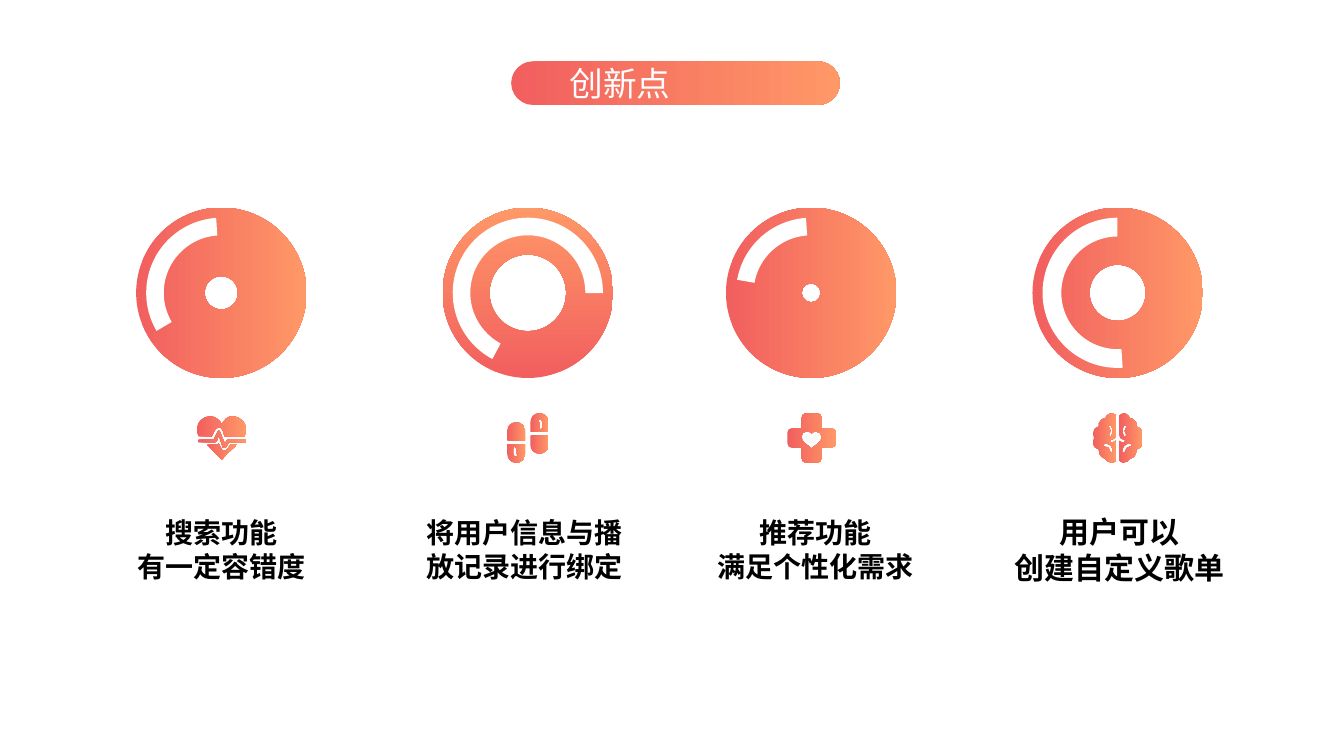
"""Build a slide of four discs, each with an icon and a caption, under a title pill."""
from lxml.etree import SubElement
from pptx import Presentation
from pptx.dml.color import RGBColor
from pptx.enum.shapes import MSO_SHAPE as Shape
from pptx.enum.text import MSO_ANCHOR as Anchor, PP_ALIGN as Align
from pptx.oxml.ns import qn
from pptx.util import Pt

PX = 9144
SLIDE_SIZE = (1333, 750)
FONT = "Noto Sans CJK SC"
RED, ORANGE, WHITE, PALE, BLACK = "F15F5F", "FF9867", "FFFFFF", "F8F8F8", "000000"
GRADIENT = (RED, ORANGE)

TITLE = "创新点"
TITLE_BAR = (507, 61, 326, 43)
TITLE_BOX = (550, 64, 255, 36)

DISC_TOP, DISC_SIZE = 206, 169
ARC_INSET, ARC_SIZE = 10, 149
ICON_INSET, ICON_TOP, ICON_SIZE = 60, 410, 49
CAPTION_TOP, CAPTION_HEIGHT, CAPTION_MARGIN = 528, 34, 13
DEGREE = 0.6

PULSE = """M 22 17 C 22 17 21 17 21 18 L 17 26 L 2 26 C 1 26 1 26 1 27 C 1 28 1 29 2 29 L 18 29
C 19 29 19 28 20 28 L 22 22 L 26 34 C 27 34 27 34 27 34 L 28 34 C 28 34 29 34 29 34 L 32 29
L 48 29 C 49 29 49 28 49 27 C 49 27 49 26 48 26 L 31 26 C 31 26 30 26 30 27 L 28 30 L 23 18
C 23 18 23 17 22 17"""
HEART_TOP = """M 13 3 C 6 3 0 9 0 17 C 0 19 1 21 2 23 L 15 23 L 18 17 C 19 15 20 15 22 14
C 24 14 25 15 26 17 L 28 24 C 29 23 30 23 31 23 L 47 23 C 48 21 49 19 49 17 C 49 9 43 3 36 3
C 30 3 27 7 25 11 C 23 7 19 3 13 3"""
HEART_TIP = """M 22 30 C 21 31 20 31 18 31 L 10 31 C 10 32 11 33 12 33 C 16 37 20 41 24 45
C 24 46 24 46 25 46 C 25 46 26 46 26 45 C 30 40 34 37 38 33 C 39 33 40 32 40 31 L 34 31
L 31 35 C 31 36 29 37 28 37 L 27 37 C 26 37 24 36 24 34 L 22 30"""
PILL_PLAIN = "M 13 9 C 8 9 4 13 4 17 L 4 27 L 22 27 L 22 17 C 22 13 18 9 13 9"
PILL_SHINY = """M 12 33 C 12 33 13 34 13 35 L 13 40 C 14 40 14 41 14 42 C 14 43 14 43 13 43
C 11 43 10 42 10 40 L 10 35 C 10 34 11 33 12 33
M 4 30 L 4 40 C 4 45 8 49 13 49 C 18 49 22 45 22 40 L 22 30"""
SMALL_HEART = """M 20 20 C 19 20 17 22 17 23 C 17 26 22 29 25 31 C 28 29 32 26 32 23
C 32 22 31 20 29 20 C 27 20 26 23 26 23 C 26 23 25 24 25 24 C 24 24 24 24 23 23
C 23 23 23 20 20 20"""
CROSS = """M 29 18 C 32 18 35 20 35 23 C 35 28 31 30 26 34 C 25 35 25 35 25 35
C 24 35 24 35 24 34 C 19 30 15 28 15 23 C 15 20 17 18 20 18 C 23 18 24 19 25 20
C 26 19 27 18 29 18
M 19 0 C 17 0 15 2 15 5 L 15 15 L 5 15 C 2 15 1 17 1 19 L 1 30 C 1 33 3 34 5 34 L 15 34
L 15 44 C 15 47 17 49 19 49 L 31 49 C 33 49 35 47 35 44 L 35 34 L 45 34 C 47 34 49 32 49 30
L 49 19 C 49 17 47 15 45 15 L 35 15 L 35 5 C 35 2 33 0 31 0"""
BRAIN_HALF = """M 32 12 C 33 12 33 12 33 12 C 34 13 34 14 33 14 C 31 16 31 19 33 21
C 34 21 34 22 33 22 C 33 23 33 23 32 23 C 32 23 32 23 31 23 C 29 20 29 15 31 12
C 31 12 32 12 32 12
M 36 30 C 37 30 37 30 37 30 C 38 31 39 31 39 32 C 38 33 38 33 37 33 C 37 33 37 33 37 33
C 34 33 32 35 32 38 C 32 38 31 39 31 39 C 30 39 29 38 29 38 C 29 34 32 30 36 30
M 31 0 C 29 0 28 1 26 2 L 26 22 C 26 24 28 26 30 26 C 31 26 32 27 32 27 C 32 28 31 29 30 29
C 29 29 27 28 26 27 L 26 47 C 27 48 29 49 30 49 C 33 49 36 47 37 45 C 41 44 43 41 43 37
C 43 37 43 36 43 36 C 45 35 46 35 47 34 C 49 32 49 31 49 29 C 49 27 49 26 48 25
C 49 23 49 22 49 20 C 49 18 48 17 47 15 C 46 14 45 14 43 13 C 44 11 43 8 41 7
C 40 6 39 5 37 5 C 36 3 34 1 32 0 C 32 0 31 0 31 0"""

KEEP = ((0, 1), (0, 1))
MIRROR = ((ICON_SIZE, -1), (0, 1))
HALF_TURN = ((ICON_SIZE, -1), (ICON_SIZE, -1))

FEATURES = [
    {"left": 135, "ring": 0.402, "turn": 0, "arc": (254.55, 11.05, 0.117), "arc_turn": 255,
     "icon": [(PULSE, KEEP, GRADIENT), (HEART_TOP, KEEP, GRADIENT), (HEART_TIP, KEEP, GRADIENT)],
     "caption": ["搜索功能", "有一定容错度"], "caption_span": (119, 202), "size": 20},
    {"left": 439, "ring": 0.275, "turn": 270, "arc": (129, 11.05, 0.117), "arc_turn": 349.2,
     "icon": [(half, turn, GRADIENT) for half in (PILL_PLAIN, PILL_SHINY)
              for turn in (KEEP, HALF_TURN)],
     "caption": ["将用户信息与播放记录进行绑定"], "caption_span": (396, 248), "size": 20},
    {"left": 720, "ring": 0.444, "turn": 0, "arc": (295.03, 11.05, 0.117), "arc_turn": 255,
     "icon": [(SMALL_HEART, KEEP, (PALE,)), (CROSS, KEEP, GRADIENT)],
     "caption": ["推荐功能", "满足个性化需求"], "caption_span": (675, 268), "size": 20},
    {"left": 1024, "ring": 0.335, "turn": 0, "arc": (86.17, 269.75, 0.125), "arc_turn": 0,
     "icon": [(BRAIN_HALF, side, GRADIENT) for side in (KEEP, MIRROR)],
     "caption": ["用户可以", "创建自定义歌单"], "caption_span": (988, 245), "size": 21.4},
]


def color(value):
    """Turn a hex string into a colour."""
    return RGBColor.from_string(value)


def paint(shape, colors):
    """Fill a shape with no, one or two colours, without line or shadow."""
    shape.shadow.inherit = False
    shape.line.fill.background()
    if len(colors) == 2:
        shape.fill.gradient()
        shape.fill.gradient_angle = 0
        for stop, value in zip(shape.fill.gradient_stops, colors):
            stop.color.rgb = color(value)
    elif colors:
        shape.fill.solid()
        shape.fill.fore_color.rgb = color(colors[0])
    else:
        shape.fill.background()


def add_preset(slide, kind, box, adjustments, colors, rotation=0):
    """Add a painted preset shape."""
    shape = slide.shapes.add_shape(kind, *(length * PX for length in box))
    for index, value in enumerate(adjustments):
        shape.adjustments[index] = value
    shape.rotation = rotation
    paint(shape, colors)
    return shape


def bend(shape, letters):
    """Join each three line segments that belong to a curve into one Bezier segment."""
    segments = iter(list(shape._element.iter(qn("a:lnTo"))))
    for letter in letters:
        if letter == "L":
            next(segments)
        elif letter == "C":
            curve, *others = (next(segments) for _ in range(3))
            curve.tag = qn("a:cubicBezTo")
            for other in others:
                curve.append(other[0])
                other.getparent().remove(other)


def add_icon_part(slide, left, outline, placement, colors):
    """Add one outline of an icon."""
    rings = []
    for ring in outline.split("M")[1:]:
        numbers = [int(word) for word in ring.split() if word not in "LC"]
        rings.append([tuple((start + shift + sign * value) * PX for start, (shift, sign), value
                            in zip((left, ICON_TOP), placement, point))
                      for point in zip(numbers[::2], numbers[1::2])])
    builder = slide.shapes.build_freeform(*rings[0][0], scale=1.0)
    builder.add_line_segments(rings[0][1:], close=True)
    for ring in rings[1:]:
        builder.move_to(*ring[0])
        builder.add_line_segments(ring[1:], close=True)
    shape = builder.convert_to_shape()
    bend(shape, [word for word in outline.split() if word in "LC"])
    paint(shape, colors)


def write(shape, lines, alignment, font):
    """Write one paragraph per line, centred vertically."""
    frame = shape.text_frame
    frame.word_wrap = True
    frame.vertical_anchor = Anchor.MIDDLE
    for index, line in enumerate(lines):
        paragraph = frame.paragraphs[0] if index == 0 else frame.add_paragraph()
        paragraph.alignment = alignment
        run = paragraph.add_run()
        run.text = line
        run.font.color.rgb = color(font["color"])
        for name, value in {"name": FONT, "size": Pt(font["size"]), "bold": font["bold"]}.items():
            setattr(run.font, name, value)
        SubElement(run._r.get_or_add_rPr(), qn("a:ea"), typeface=FONT)


def add_feature(slide, feature):
    """Add a disc with its arc, icon and caption."""
    left = feature["left"]
    disc = (left, DISC_TOP, DISC_SIZE, DISC_SIZE)
    add_preset(slide, Shape.DONUT, disc, [feature["ring"]], GRADIENT, feature["turn"])
    start, end, thickness = feature["arc"]
    arc = (left + ARC_INSET, DISC_TOP + ARC_INSET, ARC_SIZE, ARC_SIZE)
    add_preset(slide, Shape.BLOCK_ARC, arc, [start * DEGREE, end * DEGREE, thickness],
               (WHITE,), feature["arc_turn"])
    for part in feature["icon"]:
        add_icon_part(slide, left + ICON_INSET, *part)
    caption_left, width = feature["caption_span"]
    box = (caption_left, CAPTION_TOP, width, CAPTION_HEIGHT)
    caption = slide.shapes.add_textbox(*(length * PX for length in box))
    for side in ("left", "top", "right", "bottom"):
        setattr(caption.text_frame, f"margin_{side}", CAPTION_MARGIN * PX)
    write(caption, feature["caption"], Align.CENTER,
          {"size": feature["size"], "color": BLACK, "bold": True})


def main():
    """Build and save the slide."""
    presentation = Presentation()
    presentation.slide_width, presentation.slide_height = (side * PX for side in SLIDE_SIZE)
    slide = presentation.slides.add_slide(presentation.slide_layouts[6])
    for feature in FEATURES:
        add_feature(slide, feature)
    add_preset(slide, Shape.ROUNDED_RECTANGLE, TITLE_BAR, [0.5], GRADIENT)
    title = add_preset(slide, Shape.ROUNDED_RECTANGLE, TITLE_BOX, [0.5], ())
    write(title, [TITLE], Align.JUSTIFY, {"size": 24, "color": WHITE, "bold": False})
    presentation.save("out.pptx")


if __name__ == "__main__":
    main()
